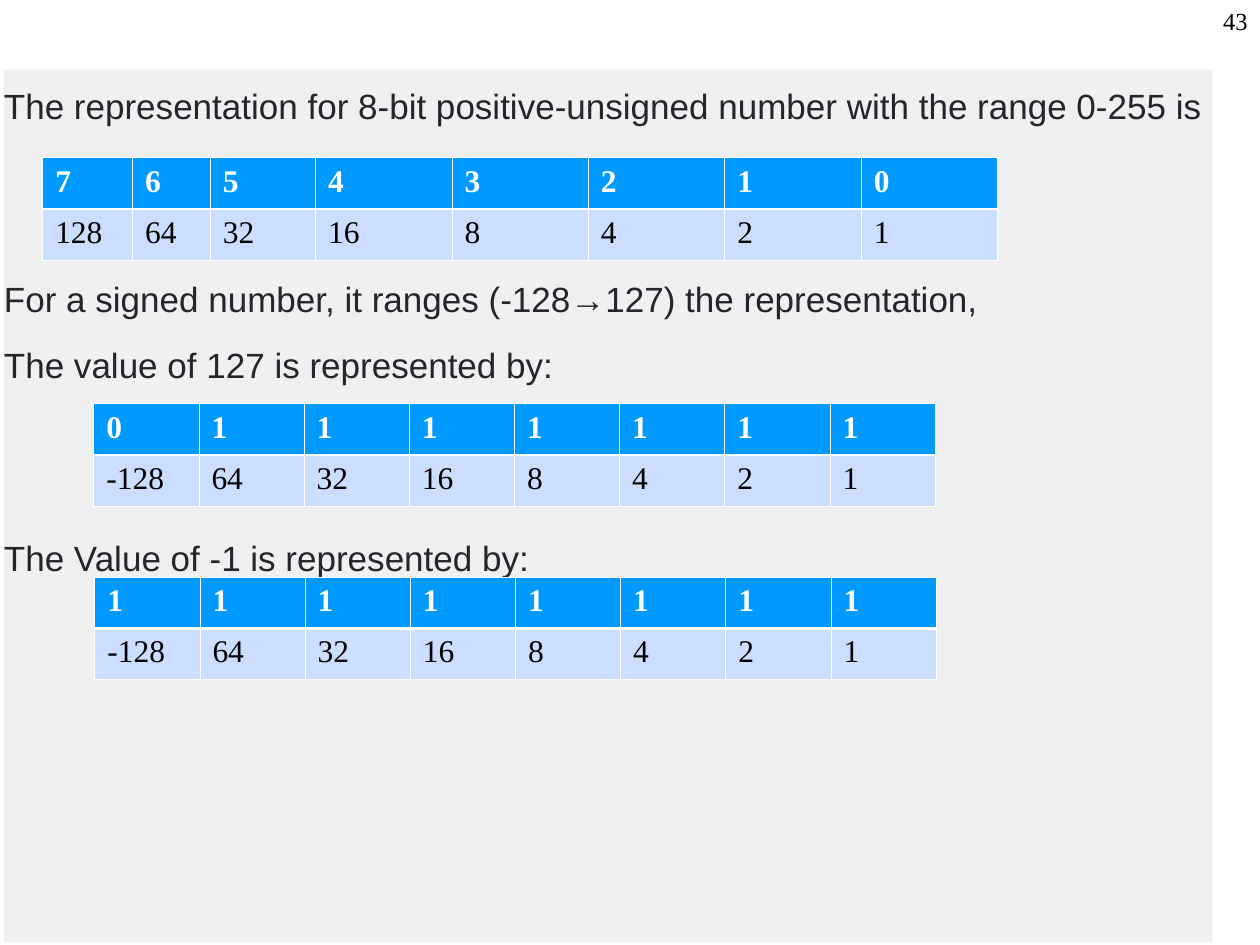
from dataclasses import dataclass

from lxml import etree
from pptx import Presentation
from pptx.dml.color import RGBColor
from pptx.enum.shapes import MSO_SHAPE
from pptx.enum.text import MSO_ANCHOR, PP_ALIGN
from pptx.oxml.ns import qn
from pptx.util import Cm, Pt

RECT = MSO_SHAPE.RECTANGLE
TOP = MSO_ANCHOR.TOP
LEFT, RIGHT = PP_ALIGN.LEFT, PP_ALIGN.RIGHT


@dataclass(frozen=True)
class Theme:
    sans: str = "Arial"
    serif: str = "Times New Roman"
    panel: str = "EFF0F1"
    ink: str = "242729"
    black: str = "000000"
    white: str = "FFFFFF"
    head: str = "0099FF"
    body: str = "CBDEFF"
    page_size: float = 14
    text_size: float = 20
    cell_size: float = 18
    thin: float = 0.45
    thick: float = 1.47


THEME = Theme()

# Text lines with the space before each, in points
LINES = [
    ("The representation for 8-bit positive-unsigned number with the range 0-255 is", 0),
    ("For a signed number, it ranges (-128→127) the representation,", 86.5),
    ("The value of 127 is represented by:", 13.5),
    ("The Value of -1 is represented by:", 86.5),
]

# Bit tables: left, top, column widths (cm), bits, weights
EVEN = [2.12] * 8
SIGNED = [-128, 64, 32, 16, 8, 4, 2, 1]
TABLES = [
    (0.86, 3.18, [1.81, 1.57, 2.12] + [2.75] * 5, range(7, -1, -1), [128] + SIGNED[1:]),
    (1.89, 8.14, EVEN, [0] + [1] * 7, SIGNED),
    (1.91, 11.64, EVEN, [1] * 8, SIGNED),
]
ROW = 1.03


def style(para, face, size, color, bold=False):
    for run in para.runs:
        font = run.font
        font.name, font.size, font.bold = face, Pt(size), bold
        font.color.rgb = RGBColor.from_string(color)


def paint(item, color):
    item.fill.solid()
    item.fill.fore_color.rgb = RGBColor.from_string(color)


def add_page(slide, text):
    box = slide.shapes.add_textbox(Cm(20.12), 0, Cm(5.28), Cm(1.27))
    frame = box.text_frame
    frame.word_wrap = True
    para = frame.paragraphs[0]
    para.text = text
    para.alignment = RIGHT
    style(para, THEME.serif, THEME.page_size, THEME.black)


def add_panel(slide, lines):
    box = slide.shapes.add_shape(RECT, Cm(0.08), Cm(1.4), Cm(24.36), Cm(17.6))
    box.shadow.inherit = False
    box.line.fill.background()
    paint(box, THEME.panel)
    frame = box.text_frame
    frame.word_wrap = True
    frame.vertical_anchor = TOP
    frame.margin_left = frame.margin_right = frame.margin_bottom = 0
    frame.margin_top = Cm(0.3)
    for i, (text, gap) in enumerate(lines):
        para = frame.add_paragraph() if i else frame.paragraphs[0]
        para.text = text
        para.alignment = LEFT
        para.space_before = Pt(gap)
        style(para, THEME.sans, THEME.text_size, THEME.ink)


def add_edge(cell, side, width):
    props = cell._tc.get_or_add_tcPr()
    line = etree.SubElement(props, qn(f"a:ln{side}"), w=str(int(Pt(width))))
    fill = etree.SubElement(line, qn("a:solidFill"))
    etree.SubElement(fill, qn("a:srgbClr"), val=THEME.white)


def fill_cell(cell, text, head):
    # Edges come before the fill; the thick one parts the two rows
    thick = "B" if head else "T"
    for side in "LRTB":
        add_edge(cell, side, THEME.thick if side == thick else THEME.thin)
    paint(cell, THEME.head if head else THEME.body)
    cell.text_frame.text = text
    color = THEME.white if head else THEME.black
    style(cell.text_frame.paragraphs[0], THEME.serif, THEME.cell_size, color, head)


def add_bits(slide, left, top, widths, bits, weights):
    frame = slide.shapes.add_table(
        2, len(widths), Cm(left), Cm(top), Cm(sum(widths)), Cm(2 * ROW))
    table = frame.table
    table.horz_banding = False
    for col, width in zip(table.columns, widths):
        col.width = Cm(width)
    for r, values in enumerate((bits, weights)):
        table.rows[r].height = Cm(ROW)
        for c, value in enumerate(values):
            fill_cell(table.cell(r, c), str(value), r == 0)


def main():
    deck = Presentation()
    deck.slide_width, deck.slide_height = Cm(25.4), Cm(19.05)
    slide = deck.slides.add_slide(deck.slide_layouts[6])
    add_page(slide, "43")
    add_panel(slide, LINES)
    for spec in TABLES:
        add_bits(slide, *spec)
    deck.save("out.pptx")


if __name__ == "__main__":
    main()
